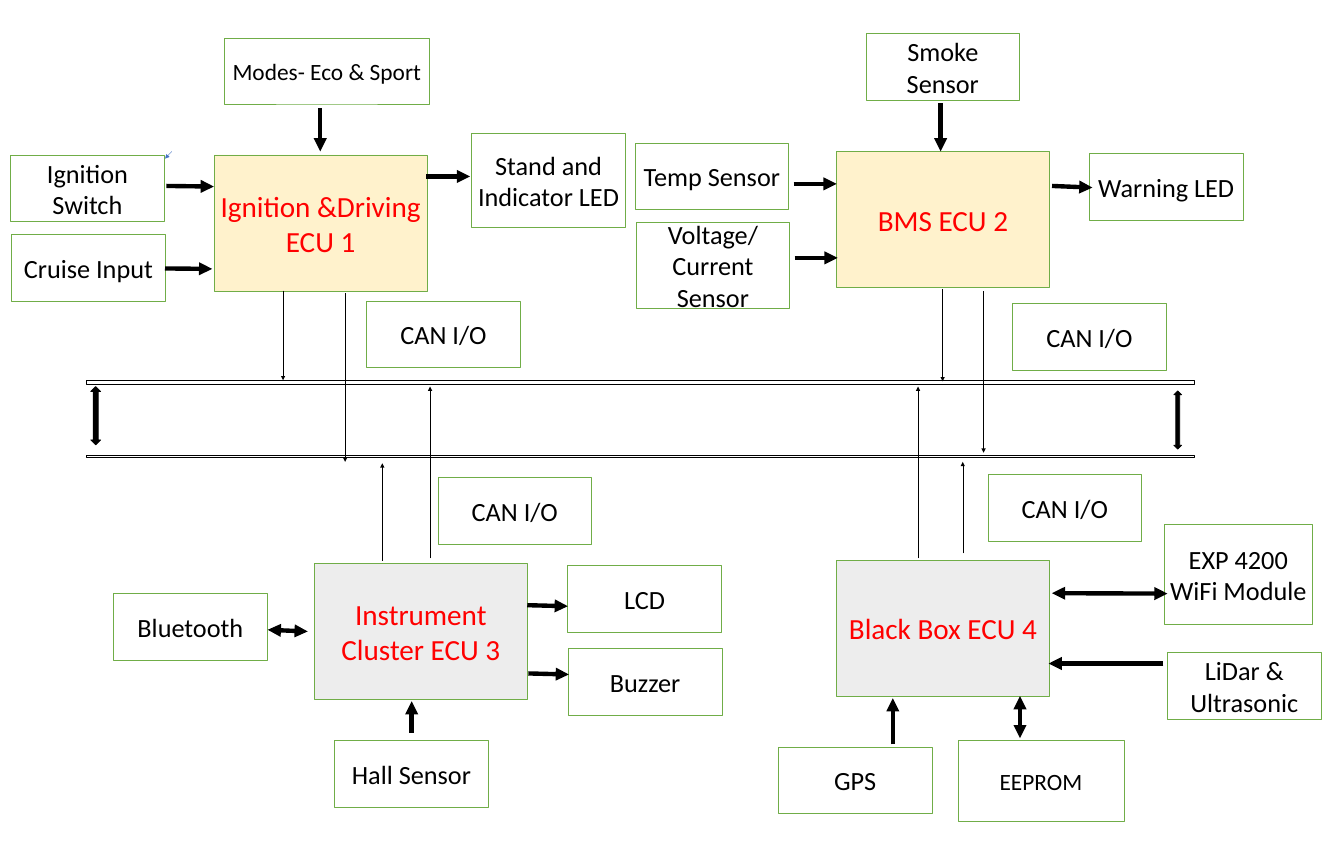
import dataclasses

import pptx
import pptx.dml.color
import pptx.enum.shapes
import pptx.enum.text
import pptx.oxml
import pptx.oxml.ns
import pptx.util

Cm = pptx.util.Cm
Kind = pptx.enum.shapes.MSO_SHAPE
COLORS = {
    "black": "000000", "white": "FFFFFF", "red": "FF0000", "green": "70AD47",
    "blue": "4472C4", "cream": "FFF2CC", "gray": "EDEDED",
}
FONT = "Calibri"
THIN, THICK = 0.5, 6


@dataclasses.dataclass
class Box:
    text: str
    left: float
    top: float
    width: float = 7.44
    height: float = 3.23
    size: int = 36
    fill: str = "white"
    ink: str = "black"


@dataclasses.dataclass
class Unit(Box):
    width: float = 10.29
    height: float = 6.58
    size: int = 40
    ink: str = "red"


@dataclasses.dataclass
class Arrow:
    x1: float
    y1: float
    x2: float
    y2: float
    weight: float = THICK
    color: str = "black"
    both: bool = False


@dataclasses.dataclass
class Mark:
    kind: Kind
    left: float
    top: float
    width: float
    height: float
    fill: str


UNITS = [
    Unit("Ignition &Driving ECU 1", 10.36, 7.49, fill="cream"),
    Unit("BMS ECU 2", 40.46, 7.32, fill="cream"),
    Unit("Instrument Cluster ECU 3", 15.21, 27.23, fill="gray"),
    Unit("Black Box ECU 4", 40.46, 27.08, fill="gray"),
]
PARTS = [
    Box("Modes- Eco & Sport", 10.87, 1.85, 9.88, 3.18, size=32),
    Box("Ignition Switch", 0.51, 7.49),
    Box("Cruise Input", 0.56, 11.33),
    Box("Stand and Indicator LED", 22.81, 6.45, height=4.55),
    Box("Temp Sensor", 30.71, 6.91),
    Box("Voltage/Current Sensor", 30.76, 10.74, height=4.17),
    Box("Smoke Sensor", 41.88, 1.63),
    Box("Warning LED", 52.68, 7.42),
    Box("Bluetooth", 5.49, 28.7),
    Box("Hall Sensor", 16.18, 35.81),
    Box("LCD", 27.46, 27.33),
    Box("Buzzer", 27.48, 31.34),
    Box("GPS", 37.64, 36.12),
    Box("EEPROM", 46.33, 35.81, 8.03, 3.89, size=32),
    Box("EXP 4200\nWiFi Module", 56.31, 25.37, 7.16, 4.83),
    Box("LiDar & Ultrasonic", 56.46, 31.55),
]
PORTS = [(17.73, 14.55), (48.97, 14.66), (21.18, 23.09), (47.78, 22.94)]
BUS = [
    Mark(Kind.MATH_MINUS, -5.51, 18.14, 72.97, 0.69, "white"),
    Mark(Kind.MATH_MINUS, -5.51, 21.87, 72.97, 0.36, "white"),
    Mark(Kind.UP_DOWN_ARROW, 4.39, 18.69, 0.48, 2.82, "black"),
    Mark(Kind.UP_DOWN_ARROW, 56.77, 18.9, 0.38, 2.82, "black"),
]
# Upright bus links: x, start, end
LINKS = [
    (13.69, 14.05, 18.39), (16.69, 14.17, 22.33),
    (18.49, 27.1, 22.4), (20.8, 27, 18.69),
    (45.59, 13.97, 18.44), (47.57, 14.07, 21.89),
    (46.56, 26.75, 22.33), (44.4, 27, 18.69),
]
ARROWS = [
    Arrow(8.31, 7.32, 7.98, 7.67, THIN, "blue"),
    Arrow(15.49, 5.23, 15.49, 7.32),
    Arrow(8.05, 8.99, 10.34, 9.02),
    Arrow(7.98, 12.98, 10.26, 13),
    Arrow(20.62, 8.53, 22.73, 8.53),
    Arrow(38.38, 8.89, 40.46, 8.89),
    Arrow(38.43, 12.47, 40.51, 12.47),
    Arrow(45.49, 5, 45.49, 7.32),
    Arrow(50.88, 8.99, 52.83, 9.07),
    Arrow(12.95, 30.45, 14.88, 30.53, both=True),
    Arrow(19.91, 35.43, 19.91, 33.91),
    Arrow(25.5, 29.26, 27.46, 29.31),
    Arrow(25.55, 32.56, 27.51, 32.61),
    Arrow(43.18, 35.99, 43.18, 33.76),
    Arrow(49.33, 33.66, 49.33, 35.69, both=True),
    Arrow(50.88, 28.68, 56.46, 28.7, both=True),
    Arrow(56.26, 32.08, 50.72, 32.08),
]


def tint(name: str) -> pptx.dml.color.RGBColor:
    return pptx.dml.color.RGBColor.from_string(COLORS[name])


def add_mark(slide, mark: Mark, line: str = "black"):
    shape = slide.shapes.add_shape(
        mark.kind, Cm(mark.left), Cm(mark.top), Cm(mark.width), Cm(mark.height))
    shape.shadow.inherit = False
    shape.fill.solid()
    shape.fill.fore_color.rgb = tint(mark.fill)
    shape.line.color.rgb = tint(line)
    shape.line.width = pptx.util.Pt(1)
    return shape


def add_text(shape, text: str, *, size: int, ink: str) -> None:
    frame = shape.text_frame
    frame.word_wrap = True
    frame.vertical_anchor = pptx.enum.text.MSO_ANCHOR.MIDDLE
    frame.text = text
    for para in frame.paragraphs:
        para.alignment = pptx.enum.text.PP_ALIGN.CENTER
        for run in para.runs:
            run.font.name = FONT
            run.font.size = pptx.util.Pt(size)
            run.font.color.rgb = tint(ink)


def add_box(slide, box: Box) -> None:
    mark = Mark(Kind.RECTANGLE, box.left, box.top, box.width, box.height, box.fill)
    add_text(add_mark(slide, mark, "green"), box.text, size=box.size, ink=box.ink)


def add_arrow(slide, arrow: Arrow) -> None:
    link = slide.shapes.add_connector(
        pptx.enum.shapes.MSO_CONNECTOR.STRAIGHT,
        Cm(arrow.x1), Cm(arrow.y1), Cm(arrow.x2), Cm(arrow.y2))
    link.line.color.rgb = tint(arrow.color)
    link.line.width = pptx.util.Pt(arrow.weight)
    space = pptx.oxml.ns.nsdecls("a")
    line = link.line._get_or_add_ln()
    for end in ("headEnd", "tailEnd") if arrow.both else ("tailEnd",):
        line.append(pptx.oxml.parse_xml(f'<a:{end} {space} type="triangle"/>'))
    link._element.spPr.append(pptx.oxml.parse_xml(f"<a:effectLst {space}/>"))


def main() -> None:
    deck = pptx.Presentation()
    deck.slide_width, deck.slide_height = Cm(65), Cm(41)
    slide = deck.slides.add_slide(deck.slide_layouts[6])

    # Control units, their parts and bus ports
    ports = [Box("CAN I/O", left, top) for left, top in PORTS]
    for box in UNITS + PARTS + ports:
        add_box(slide, box)

    # Bus rails and their spans
    for mark in BUS:
        add_mark(slide, mark)

    # Bus links and signal arrows
    links = [Arrow(x, start, x, end, THIN) for x, start, end in LINKS]
    for arrow in links + ARROWS:
        add_arrow(slide, arrow)

    deck.save("out.pptx")


if __name__ == "__main__":
    main()
